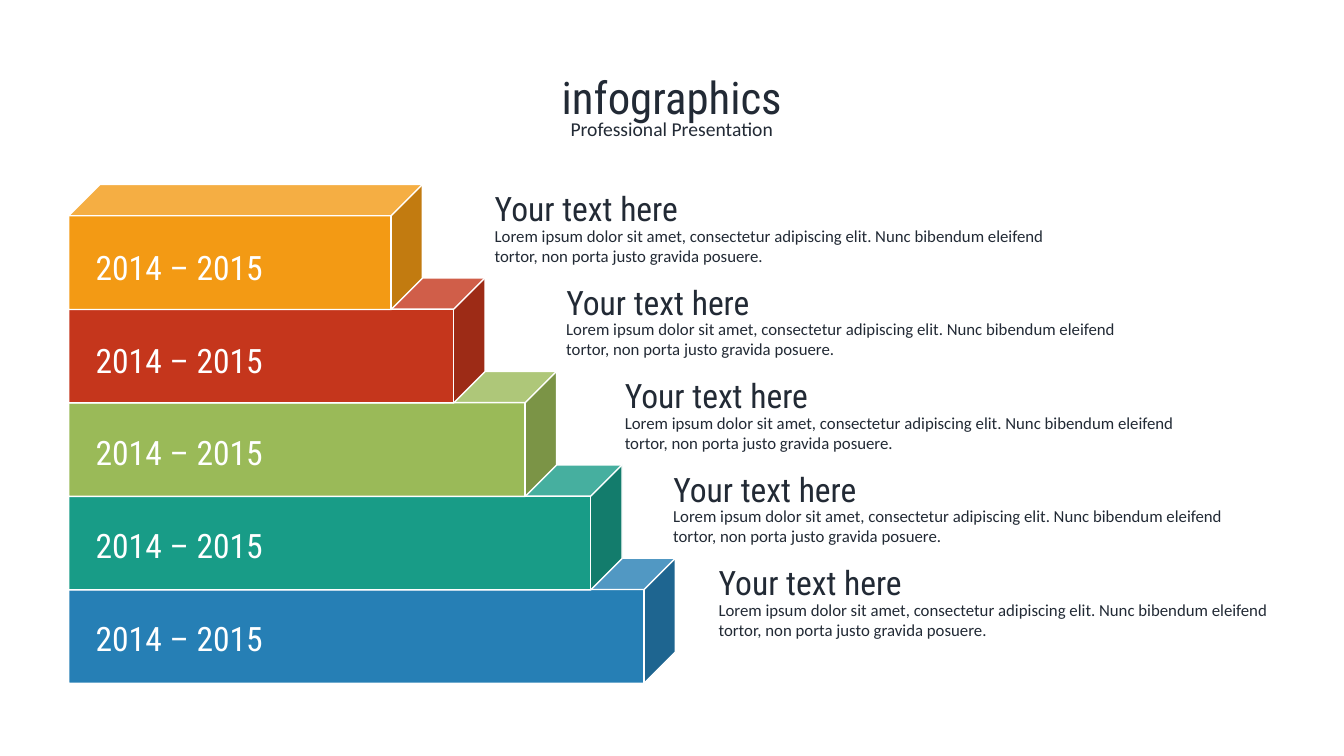
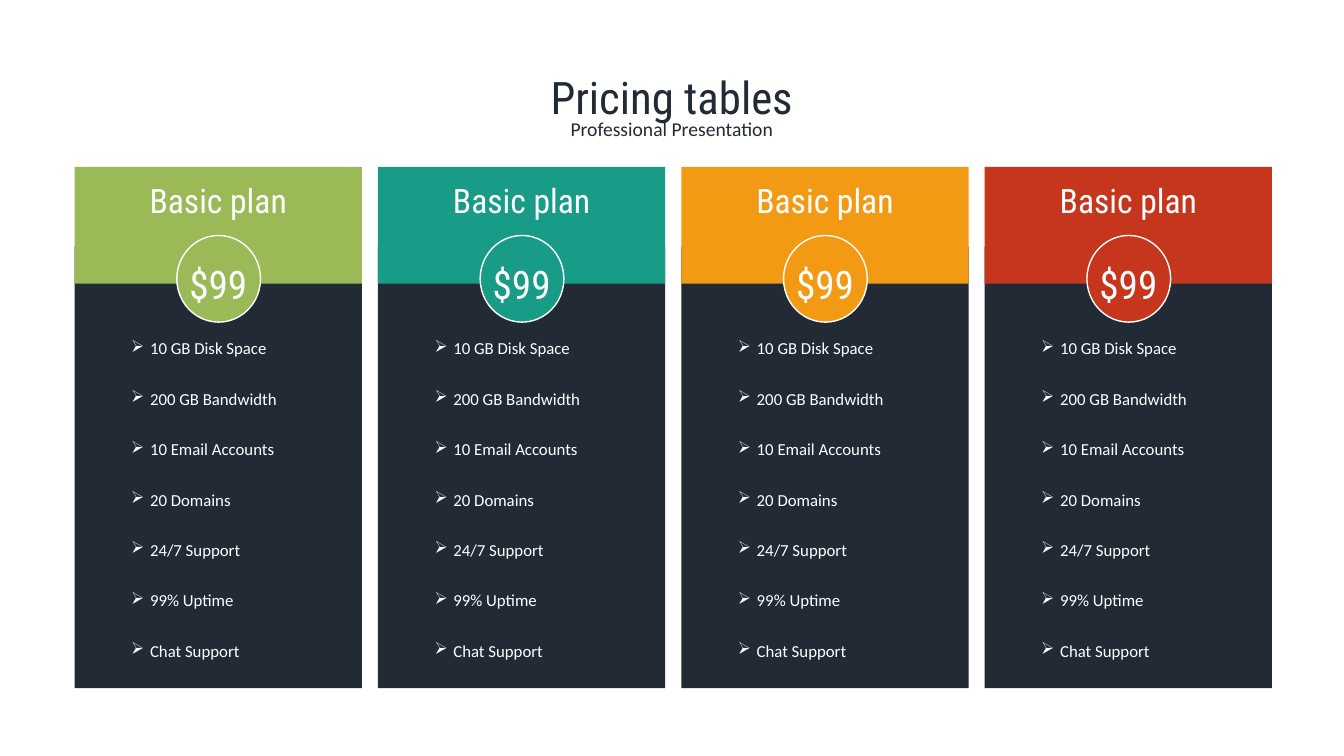
from lxml import etree
from pptx import Presentation
from pptx.dml.color import RGBColor
from pptx.enum import shapes, text
from pptx.oxml import ns
from pptx.util import Pt

HEADING_FONT = "Roboto Condensed"
BODY_FONT = "Calibri"
DARK = "222A35"
WHITE = "FFFFFF"
ORANGE = "F39A14"
RED = "C5361C"
GREEN = "9ABA58"
TEAL = "189C87"
BLUE = "267FB5"

LOREM = ("Lorem ipsum dolor sit amet, consectetur adipiscing elit. "
         "Nunc bibendum eleifend tortor, non porta justo gravida posuere.")
FEATURES = ["10 GB Disk Space", "200 GB Bandwidth", "10 Email Accounts",
            "20 Domains", "24/7 Support", "99% Uptime", "Chat Support"]

# Colour, cube width and left edge of the text beside it, from the top step down
STEPS = [(ORANGE, 252.7, 346.3), (RED, 297.4, 397.4), (GREEN, 348.5, 439.2),
         (TEAL, 395.3, 473.8), (BLUE, 433.4, 506.2)]
STEP_LEFT, STEP_TOP, STEP_PITCH, STEP_HEIGHT = 49, 131.8, 66.75, 89.3
YEAR_TOP, YEAR_PITCH = 172.8, 66.25

PLAN_COLOURS = [GREEN, TEAL, ORANGE, RED]
PLAN_LEFT, PLAN_PITCH, PLAN_WIDTH = 53.3, 216.7, 205.2


def colour(hex_string):
    return RGBColor.from_string(hex_string)


def box(left, top, width, height):
    return Pt(left), Pt(top), Pt(width), Pt(height)


def add_run(paragraph, words, size, font_name, hex_string):
    run = paragraph.add_run()
    run.text = words
    run.font.size = Pt(size)
    run.font.name = font_name
    run.font.color.rgb = colour(hex_string)


def add_bullet(paragraph, character, indent):
    properties = paragraph._p.get_or_add_pPr()
    properties.set("marL", str(Pt(indent)))
    properties.set("indent", str(-Pt(indent)))
    bullet = etree.SubElement(properties, ns.qn("a:buChar"))
    bullet.set("char", character)


def add_text(slide, place, lines, size, font_name, hex_string,
             centred=False, bullet=None, line_spacing=None):
    frame = slide.shapes.add_textbox(*place).text_frame
    frame.word_wrap = True
    frame.auto_size = text.MSO_AUTO_SIZE.SHAPE_TO_FIT_TEXT
    for index, words in enumerate(lines):
        paragraph = frame.add_paragraph() if index else frame.paragraphs[0]
        if bullet:
            add_bullet(paragraph, bullet, 13.5)
        if centred:
            paragraph.alignment = text.PP_ALIGN.CENTER
        if line_spacing:
            paragraph.line_spacing = line_spacing
        add_run(paragraph, words, size, font_name, hex_string)


def add_heading(slide, place, words, hex_string, size=24, centred=False):
    add_text(slide, place, [words], size, HEADING_FONT, hex_string, centred)


def add_block(slide, kind, place, fill, line=None):
    shape = slide.shapes.add_shape(kind, *place)
    shape.shadow.inherit = False
    shape.fill.solid()
    shape.fill.fore_color.rgb = colour(fill)
    if line:
        shape.line.color.rgb = colour(line)
        shape.line.width = Pt(1)
    else:
        shape.line.fill.background()


def add_titled_slide(presentation, title):
    slide = presentation.slides.add_slide(presentation.slide_layouts[5])
    placeholder = slide.shapes.title
    placeholder.left, placeholder.top, placeholder.width, placeholder.height = box(63.4, 46.5, 833, 46)
    frame = placeholder.text_frame
    frame.vertical_anchor = text.MSO_ANCHOR.TOP
    frame.auto_size = text.MSO_AUTO_SIZE.NONE
    frame.paragraphs[0].alignment = text.PP_ALIGN.CENTER
    add_run(frame.paragraphs[0], title, 32, HEADING_FONT, DARK)
    add_text(slide, box(63.4, 80.3, 833, 24.5), ["Professional Presentation"],
             14, BODY_FONT, DARK, centred=True)
    return slide


def add_staircase(slide):
    """Draw the steps from the bottom up, so that each one covers the step below."""
    for index, (fill, width, text_left) in reversed(list(enumerate(STEPS))):
        top = STEP_TOP + index * STEP_PITCH
        add_block(slide, shapes.MSO_SHAPE.CUBE,
                  box(STEP_LEFT, top, width, STEP_HEIGHT), fill, WHITE)
        add_heading(slide, box(text_left, top - 0.8, 228, 36), "Your text here", DARK)
        add_text(slide, box(text_left, top + 25.8, 415, 36), [LOREM], 12, BODY_FONT, DARK)
    for index in range(len(STEPS)):
        add_heading(slide, box(61.2, YEAR_TOP + index * YEAR_PITCH, 228, 36),
                    "2014 – 2015", WHITE)


def add_plan(slide, left, fill):
    rectangle = shapes.MSO_SHAPE.RECTANGLE
    add_block(slide, rectangle, box(left, 176.2, PLAN_WIDTH, 315.4), DARK)
    add_text(slide, box(left + 33.3, 216.4, 139, 262), FEATURES, 12, BODY_FONT, WHITE,
             bullet="➢", line_spacing=2.5)
    add_block(slide, rectangle, box(left, 119.2, PLAN_WIDTH, 83.5), fill)
    add_heading(slide, box(left, 125, PLAN_WIDTH, 36), "Basic plan", WHITE, centred=True)
    add_block(slide, shapes.MSO_SHAPE.OVAL, box(left + 73, 168.2, 59.8, 61.9), fill, WHITE)
    add_heading(slide, box(left + 44.3, 182.2, 116.6, 41), "$99", WHITE, 28, centred=True)


def main():
    presentation = Presentation()
    presentation.slide_width, presentation.slide_height = Pt(960), Pt(540)
    add_staircase(add_titled_slide(presentation, "infographics"))
    pricing = add_titled_slide(presentation, "Pricing tables")
    for index, fill in enumerate(PLAN_COLOURS):
        add_plan(pricing, PLAN_LEFT + index * PLAN_PITCH, fill)
    presentation.save("out.pptx")


if __name__ == "__main__":
    main()
